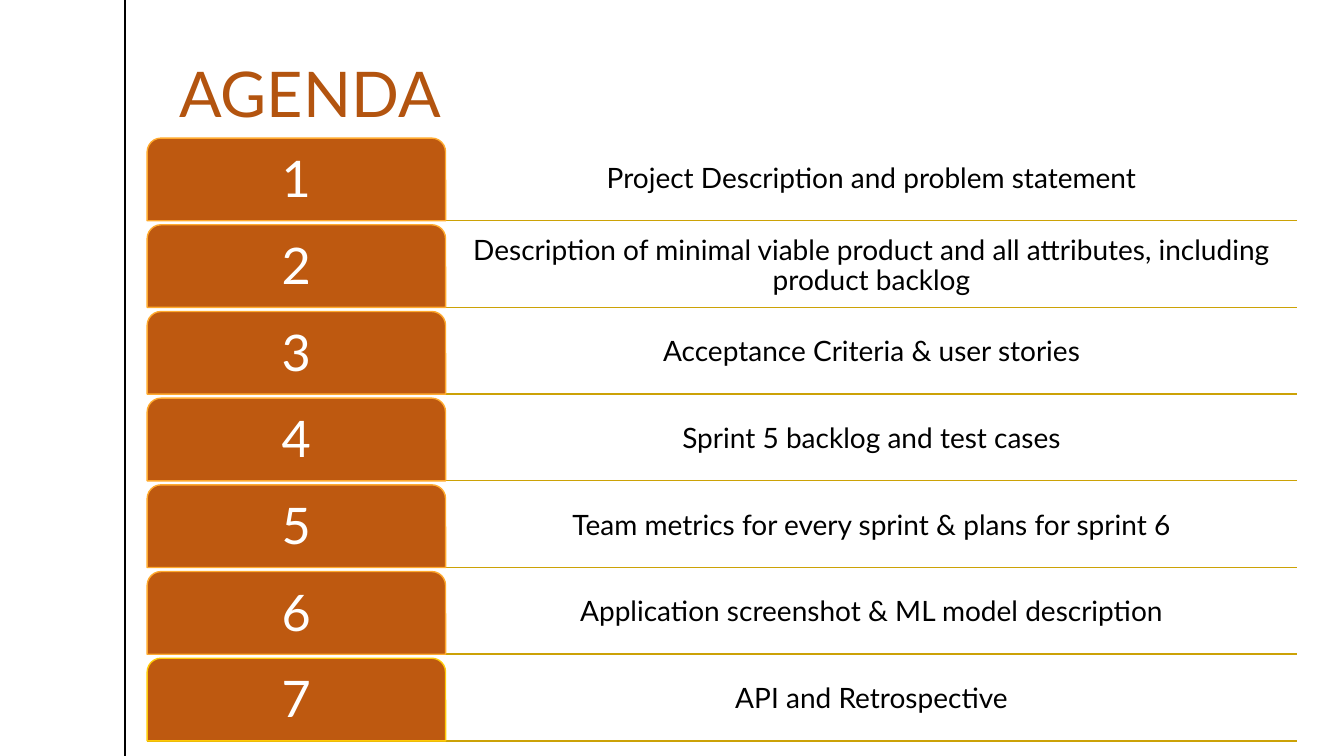
from dataclasses import dataclass

from lxml import etree
from pptx import Presentation
from pptx import util as u
from pptx.dml.color import RGBColor
from pptx.enum import shapes, text
from pptx.oxml.ns import qn


@dataclass
class Theme:
    font: str = "Lato"
    title: str = "B3540F"
    tab: str = "BE5910"
    tab_line: str = "FFAA2E"
    last_tab_line: str = "FFCA08"
    rule: str = "CCA206"
    black: str = "000000"
    white: str = "FFFFFF"
    title_size: int = 45
    number_size: int = 36
    topic_size: int = 20


theme = Theme()

TOPICS = [
    "Project Description and problem statement",
    "Description of minimal viable product and all attributes, including product backlog",
    "Acceptance Criteria & user stories",
    "Sprint 5 backlog and test cases",
    "Team metrics for every sprint & plans for sprint 6",
    "Application screenshot & ML model description",
    "API and Retrospective",
]

# Grid in inches: a number column, a topic column and evenly pitched rows
LEFT, TOPIC_LEFT, RIGHT = 1.46, 4.43, 12.86
TAB_WIDTH = 2.96
TOP, PITCH, ROW_HEIGHT = 1.37, 0.86, 0.82
MARGIN_LINE = 1.24

presentation = Presentation()
presentation.slide_width = u.Inches(13.33)
presentation.slide_height = u.Inches(7.5)
slide = presentation.slides.add_slide(presentation.slide_layouts[6])


def add_line(x1, y1, x2, y2, color):
    line = slide.shapes.add_connector(
        shapes.MSO_CONNECTOR.STRAIGHT, *map(u.Inches, (x1, y1, x2, y2)))
    line.line.color.rgb = RGBColor.from_string(color)
    line.line.width = u.Pt(1)
    etree.SubElement(line._element.spPr, qn("a:effectLst"))


def write(shape, words, size, color, insets, align, anchor):
    """Fill a shape with one paragraph; insets are (horizontal, vertical) inches."""
    frame = shape.text_frame
    frame.word_wrap = True
    frame.vertical_anchor = anchor
    frame.margin_left = frame.margin_right = u.Inches(insets[0])
    frame.margin_top = frame.margin_bottom = u.Inches(insets[1])
    paragraph = frame.paragraphs[0]
    paragraph.text = words
    paragraph.alignment = align
    paragraph.line_spacing = 0.9
    paragraph.font.name = theme.font
    paragraph.font.size = u.Pt(size)
    paragraph.font.color.rgb = RGBColor.from_string(color)


add_line(MARGIN_LINE, 0, MARGIN_LINE, 7.5, theme.black)

title = slide.shapes.add_textbox(*map(u.Inches, (1.78, 0.25, 11.08, 1.1)))
write(title, "AGENDA", theme.title_size, theme.title, (0, 0.05),
      text.PP_ALIGN.LEFT, text.MSO_ANCHOR.BOTTOM)

for row, topic in enumerate(TOPICS):
    top = TOP + row * PITCH
    bottom = top + ROW_HEIGHT
    add_line(LEFT, bottom, RIGHT, bottom, theme.rule)

    topic_box = slide.shapes.add_textbox(
        *map(u.Inches, (TOPIC_LEFT, top, RIGHT - TOPIC_LEFT, ROW_HEIGHT)))
    write(topic_box, topic, theme.topic_size, theme.black, (0.04, 0.04),
          text.PP_ALIGN.CENTER, text.MSO_ANCHOR.MIDDLE)

    tab = slide.shapes.add_shape(
        shapes.MSO_SHAPE.ROUND_2_SAME_RECTANGLE,
        *map(u.Inches, (LEFT, top, TAB_WIDTH, ROW_HEIGHT)))
    tab.shadow.inherit = False
    tab.fill.solid()
    tab.fill.fore_color.rgb = RGBColor.from_string(theme.tab)
    is_last = row == len(TOPICS) - 1
    tab.line.color.rgb = RGBColor.from_string(
        theme.last_tab_line if is_last else theme.tab_line)
    tab.line.width = u.Pt(1)
    write(tab, str(row + 1), theme.number_size, theme.white, (0.07, 0.07),
          text.PP_ALIGN.CENTER, text.MSO_ANCHOR.MIDDLE)

presentation.save("out.pptx")
